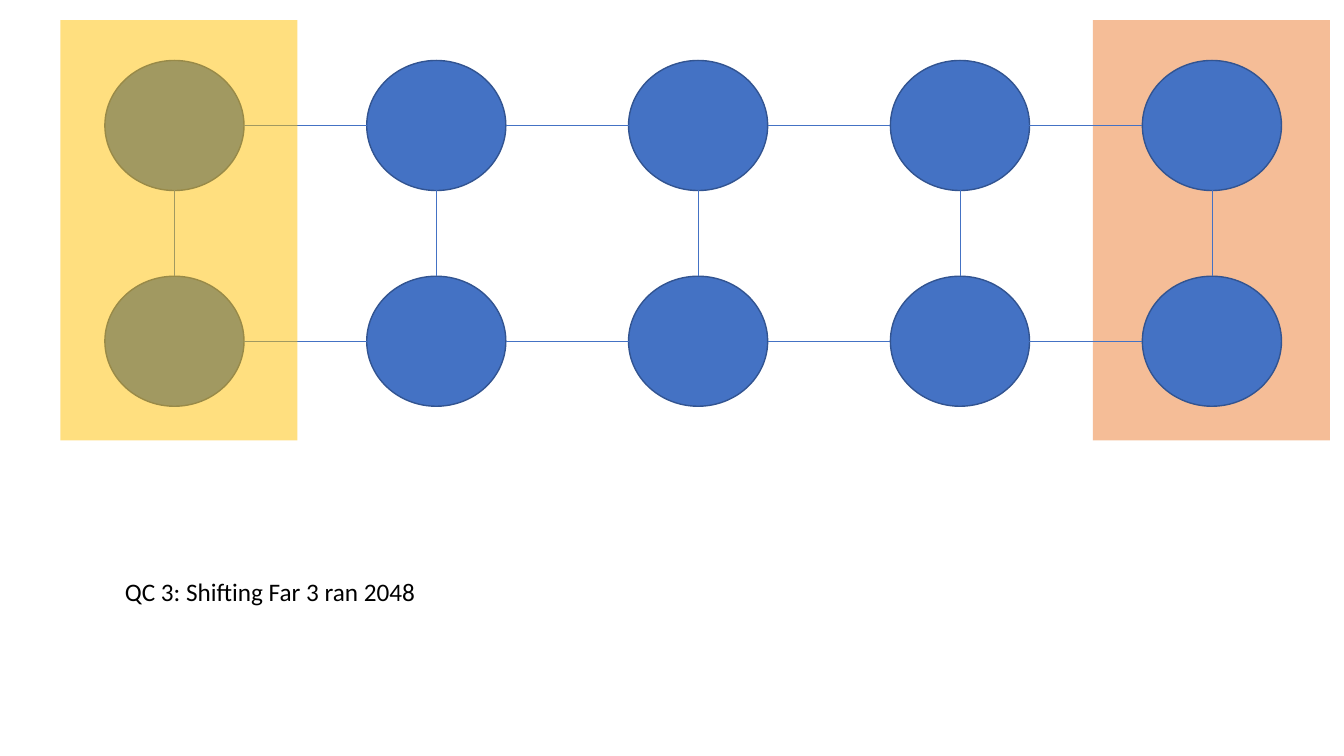
"""Builds a slide with a two-row lattice of linked nodes and two shaded end bands."""
from lxml.etree import SubElement
from pptx import Presentation
from pptx.dml.color import RGBColor as Rgb
from pptx.enum.shapes import MSO_CONNECTOR as Link, MSO_SHAPE as Kind
from pptx.oxml.ns import qn
from pptx.util import Inches as In, Pt

HEX = {"node": "4472C4", "edge": "325491", "left": "FFC000",
       "right": "ED7D31", "text": "000000"}
NOTE = "QC 3: Shifting Far 3 ran 2048"
WIDE, HIGH = 13.33, 7.5
COLS = [1.04 + 2.597 * i for i in range(4)] + [11.33]
ROWS = [0.6, 2.74]
NODE_W, NODE_H = 1.38, 1.29
BANDS = {"left": 0.6, "right": 10.84}
BAND_Y, BAND_W, BAND_H = 0.2, 2.35, 4.17


def paint(kind, x, y, w, h, fill):
    form = slide.shapes.add_shape(kind, In(x), In(y), In(w), In(h))
    form.shadow.inherit = False
    form.fill.solid()
    form.fill.fore_color.rgb = Rgb.from_string(HEX[fill])
    return form


def link(x1, y1, x2, y2):
    line = slide.shapes.add_connector(Link.STRAIGHT, In(x1), In(y1), In(x2), In(y2))
    line.line.color.rgb = Rgb.from_string(HEX["node"])
    line.line.width = Pt(0.5)
    SubElement(line._element.spPr, qn("a:effectLst"))


def column(i):
    x = COLS[i]
    for y in ROWS:
        node = paint(Kind.OVAL, x, y, NODE_W, NODE_H, "node")
        node.line.color.rgb = Rgb.from_string(HEX["edge"])
        node.line.width = Pt(1)
        if i:
            mid = y + NODE_H / 2
            link(COLS[i - 1] + NODE_W, mid, x, mid)
    mid = x + NODE_W / 2
    link(mid, ROWS[0] + NODE_H, mid, ROWS[1])


def band(name):
    form = paint(Kind.RECTANGLE, BANDS[name], BAND_Y, BAND_W, BAND_H, name)
    form.line.fill.background()
    tint = form._element.spPr.find(qn("a:solidFill"))[0]
    SubElement(tint, qn("a:alpha"), val="50000")


deck = Presentation()
deck.slide_width, deck.slide_height = In(WIDE), In(HIGH)
slide = deck.slides.add_slide(deck.slide_layouts[6])

for i in range(len(COLS) - 1):
    column(i)
for name in BANDS:
    band(name)
column(len(COLS) - 1)

box = slide.shapes.add_textbox(In(1.14), In(5.67), In(WIDE / 2), In(0.4))
box.text_frame.word_wrap = True
para = box.text_frame.paragraphs[0]
para.text = NOTE
para.font.name = "Calibri"
para.font.size = Pt(18)
para.font.color.rgb = Rgb.from_string(HEX["text"])

deck.save("out.pptx")
